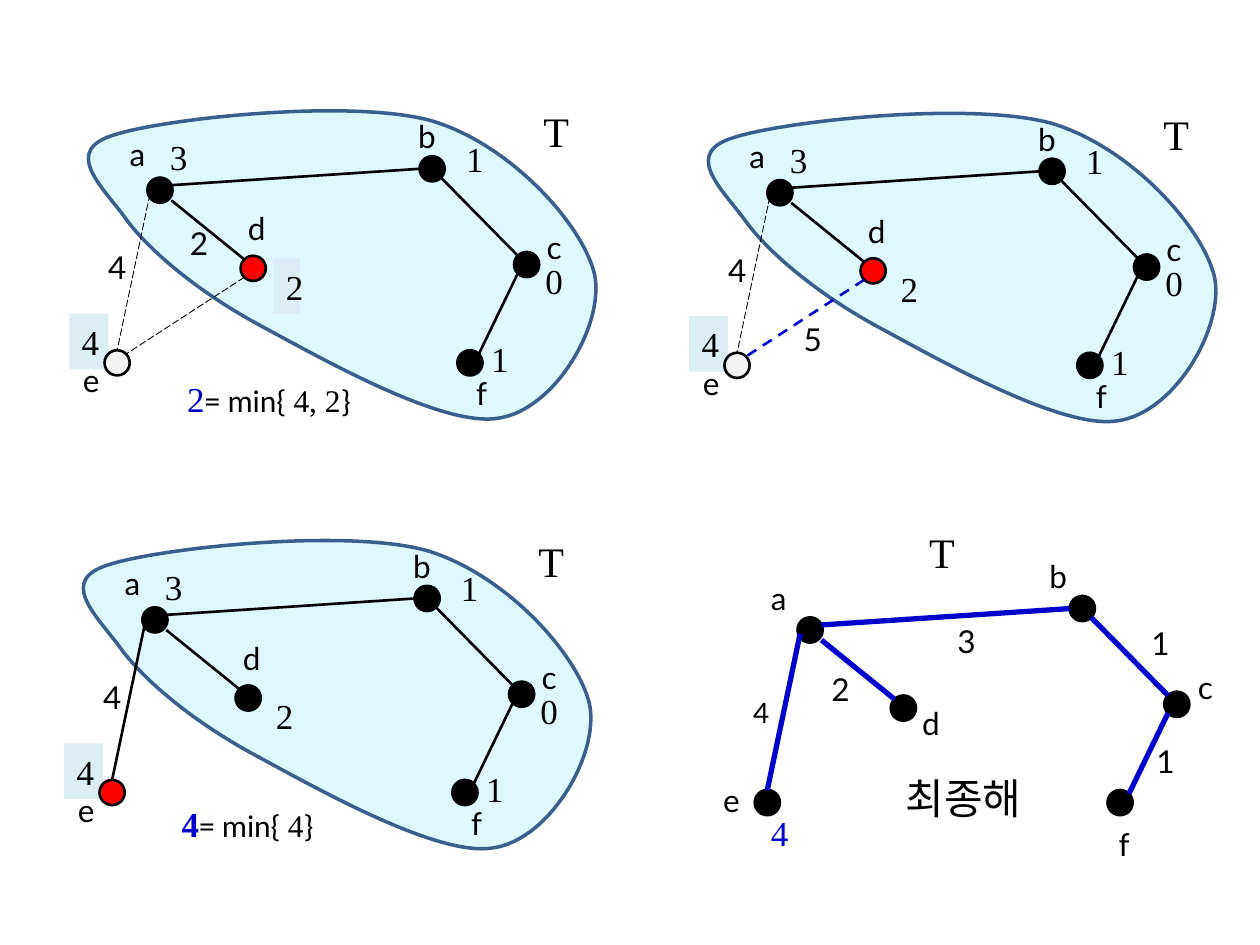
from lxml import etree
from pptx import Presentation
from pptx.dml.color import RGBColor
from pptx.enum.dml import MSO_LINE
from pptx.enum.shapes import MSO_CONNECTOR, MSO_SHAPE
from pptx.enum.text import MSO_AUTO_SIZE, PP_ALIGN
from pptx.oxml.ns import qn
from pptx.util import Inches, Pt

STRAIGHT = MSO_CONNECTOR.STRAIGHT
ELLIPSE, RECTANGLE = MSO_SHAPE.OVAL, MSO_SHAPE.RECTANGLE
DASH, LONG_DASH = MSO_LINE.DASH, MSO_LINE.LONG_DASH
FIT_TEXT, CENTER = MSO_AUTO_SIZE.SHAPE_TO_FIT_TEXT, PP_ALIGN.CENTER

SANS, SERIF, BODY = "Lato", "Times New Roman", "Calibri"
BLACK, BLUE, RED, PALE = "000000", "0000CC", "FF0000", "F2F2F2"
REGION_FILL, REGION_LINE, SCORE_FILL = "DDF9FF", "3A5F8C", "DBEEF4"

# All positions are inches from the top left corner of a panel.
NODE_SIZE = 0.2
NODES = {"b": (2.63, 0.36), "d": (1.21, 1.15), "e": (0.13, 1.9),
         "c": (3.38, 1.12), "f": (2.93, 1.9), "a": (0.47, 0.53)}
EDGES = {"de": (1.24, 1.32, 0.3, 1.93), "ae": (0.49, 0.66, 0.23, 1.9),
         "ab": (0.66, 0.59, 2.63, 0.46), "bc": (3.41, 1.15, 2.8, 0.53),
         "cf": (3.1, 1.93, 3.41, 1.29), "ad": (0.66, 0.71, 1.24, 1.18)}
TREE = ("ab", "bc", "cf", "ad")
NODE_LABELS = {"a": (0.23, 0.14), "b": (2.52, 0), "c": (3.54, 0.88),
               "d": (1.17, 0.73), "e": (-0.14, 1.94), "f": (2.98, 2.04)}
FINAL_LABELS = {"a": (0.16, 0.18), "b": (2.37, 0), "c": (3.55, 0.88),
                "d": (1.36, 1.17), "e": (-0.22, 1.78), "f": (2.92, 2.13)}
SCORES = (("3", 0.55, 0.15), ("1", 3.1, 1.75), ("0", 3.53, 1.13), ("1", 2.9, 0.16))
REGION_SIZE = (4.03, 2.45)
REGION_START = (0.21, 0.19)
REGION_CURVES = (
    ((0.61, 0.06), (2.09, -0.1), (2.73, 0.08)),
    ((3.36, 0.27), (3.93, 0.91), (4.02, 1.3)),
    ((4.1, 1.7), (3.7, 2.38), (3.25, 2.44)),
    ((2.81, 2.51), (1.86, 1.97), (1.36, 1.7)),
    ((0.86, 1.43), (0.46, 1.09), (0.28, 0.83)),
    ((0.09, 0.58), (-0.2, 0.31), REGION_START),
)


def rgb(color):
    return RGBColor.from_string(color)


def paint(shape, fill, line=None, width=1.5):
    shape.shadow.inherit = False
    shape.fill.solid()
    shape.fill.fore_color.rgb = rgb(fill)
    if line:
        shape.line.color.rgb = rgb(line)
        shape.line.width = Pt(width)
    else:
        shape.line.fill.background()


class Panel:
    """One step of the tree construction, drawn in a group."""

    def __init__(self, slide, left, top):
        self.left, self.top = left, top
        self.shapes = slide.shapes.add_group_shape().shapes

    def at(self, x, y):
        return Inches(self.left + x), Inches(self.top + y)

    def text(self, runs, x, y, width=0.34, height=0.4, align=None, wrap=False, fill=None):
        """Runs are (text, size, font, color, bold)."""
        box = (*self.at(x, y), Inches(width), Inches(height))
        if fill:
            shape = self.shapes.add_shape(RECTANGLE, *box)
            paint(shape, fill)
        else:
            shape = self.shapes.add_textbox(*box)
        frame = shape.text_frame
        frame.word_wrap = wrap
        frame.auto_size = FIT_TEXT
        paragraph = frame.paragraphs[0]
        paragraph.alignment = align
        for words, size, font, color, bold in runs:
            run = paragraph.add_run()
            run.text = words
            run.font.size = Pt(size)
            run.font.name = font
            run.font.bold = bold
            run.font.color.rgb = rgb(color)

    def label(self, words, x, y, size=18):
        self.text([(words, size, SANS, BLACK, False)], x, y)

    def labels(self, places):
        for name, (x, y) in places.items():
            self.label(name, x, y)

    def score(self, value, x, y, width=0.31, fill=None, color=BLACK):
        self.text([(value, 20, SERIF, color, False)], x, y, width, 0.44, CENTER, True, fill)

    def title(self, words, x, y, width=0.55, font=SERIF):
        self.text([(words, 24, font, BLACK, False)], x, y, width, 0.5, CENTER, True)

    def minimum(self, result, candidates, x, y, bold=False):
        runs = [(result, 20, SERIF, BLUE, bold), ("= min{ ", 18, BODY, BLACK, False),
                (candidates, 18, SERIF, BLACK, False), ("}", 18, BODY, BLACK, False)]
        self.text(runs, x, y, 2.77, 0.44, CENTER, True)

    def nodes(self, colors):
        for name, (x, y) in NODES.items():
            node = self.shapes.add_shape(ELLIPSE, *self.at(x, y), Inches(NODE_SIZE), Inches(NODE_SIZE))
            paint(node, colors.get(name, BLACK), BLACK)

    def edge(self, name, color=BLACK, width=1.5, dash=None):
        x1, y1, x2, y2 = EDGES[name]
        line = self.shapes.add_connector(STRAIGHT, *self.at(x1, y1), *self.at(x2, y2))
        line.line.color.rgb = rgb(color)
        line.line.width = Pt(width)
        if dash:
            line.line.dash_style = dash
        etree.SubElement(line._element.spPr, qn("a:effectLst"))

    def region(self):
        """Closed curve around T: a box outline whose path becomes Bézier curves."""
        width, height = (Inches(side) for side in REGION_SIZE)
        builder = self.shapes.build_freeform(0, 0)
        builder.add_line_segments([(width, 0), (width, height), (0, height)])
        outline = builder.convert_to_shape(*self.at(0, 0))
        paint(outline, REGION_FILL, REGION_LINE, 2)
        curve = next(outline._element.iter(qn("a:path")))
        for segment in list(curve):
            curve.remove(segment)
        segments = [("a:moveTo", [REGION_START])]
        segments += [("a:cubicBezTo", points) for points in REGION_CURVES]
        for tag, points in segments:
            segment = etree.SubElement(curve, qn(tag))
            for x, y in points:
                etree.SubElement(segment, qn("a:pt"), x=str(Inches(x)), y=str(Inches(y)))
        etree.SubElement(curve, qn("a:close"))


def draw_step(slide, left, top, colors, other_edges, d_width, d_fill=None):
    panel = Panel(slide, left, top)
    panel.region()
    panel.label("4", 0.06, 1.04)
    panel.score("4", -0.15, 1.61, fill=SCORE_FILL)
    panel.score("2", 1.43 if d_width > 0.21 or not d_fill else 1.47, 1.17, d_width, d_fill)
    for value, x, y in SCORES:
        panel.score(value, x, y)
    panel.nodes(colors)
    for name, style in other_edges.items():
        panel.edge(name, **style)
    for name in TREE:
        panel.edge(name)
    panel.labels(NODE_LABELS)
    panel.title("T", 3.44, -0.09)
    return panel


def draw_final_tree(slide, left, top):
    panel = Panel(slide, left, top)
    panel.nodes({})
    for name in ("ae", *TREE):
        panel.edge(name, BLUE, 3)
    panel.labels(FINAL_LABELS)
    panel.score("4", 0.16, 2.02, 0.25, color=BLUE)
    panel.title("T", 1.34, -0.24)
    panel.label("4", 0.02, 1.1, 16)
    for weight, x, y in (("2", 0.64, 0.9), ("1", 3.22, 1.47), ("1", 3.18, 0.53), ("3", 1.64, 0.52)):
        panel.label(weight, x, y)
    panel.title("최종해 ", 1.03, 1.71, 1.59, BODY)


def main():
    presentation = Presentation()
    presentation.slide_width, presentation.slide_height = Inches(10), Inches(7.5)
    slide = presentation.slides.add_slide(presentation.slide_layouts[6])
    thin = {"width": 0.5, "dash": LONG_DASH}

    add_d = draw_step(slide, 0.7, 0.88, {"d": RED, "e": PALE}, {"de": thin, "ae": thin}, 0.21, SCORE_FILL)
    add_d.label("2", 0.71, 0.85)
    add_d.minimum("2", "4, 2", 0.05, 2.07)

    check_de = draw_step(slide, 5.62, 0.9, {"d": RED, "e": PALE},
                         {"de": {"color": BLUE, "dash": DASH}, "ae": thin}, 0.25)
    check_de.label("5", 0.66, 1.59)

    add_e = draw_step(slide, 0.66, 4.29, {"e": RED}, {"ae": {}}, 0.21)
    add_e.minimum("4", "4", -0.08, 2.03, bold=True)

    draw_final_tree(slide, 5.86, 4.37)
    presentation.save("out.pptx")


if __name__ == "__main__":
    main()
